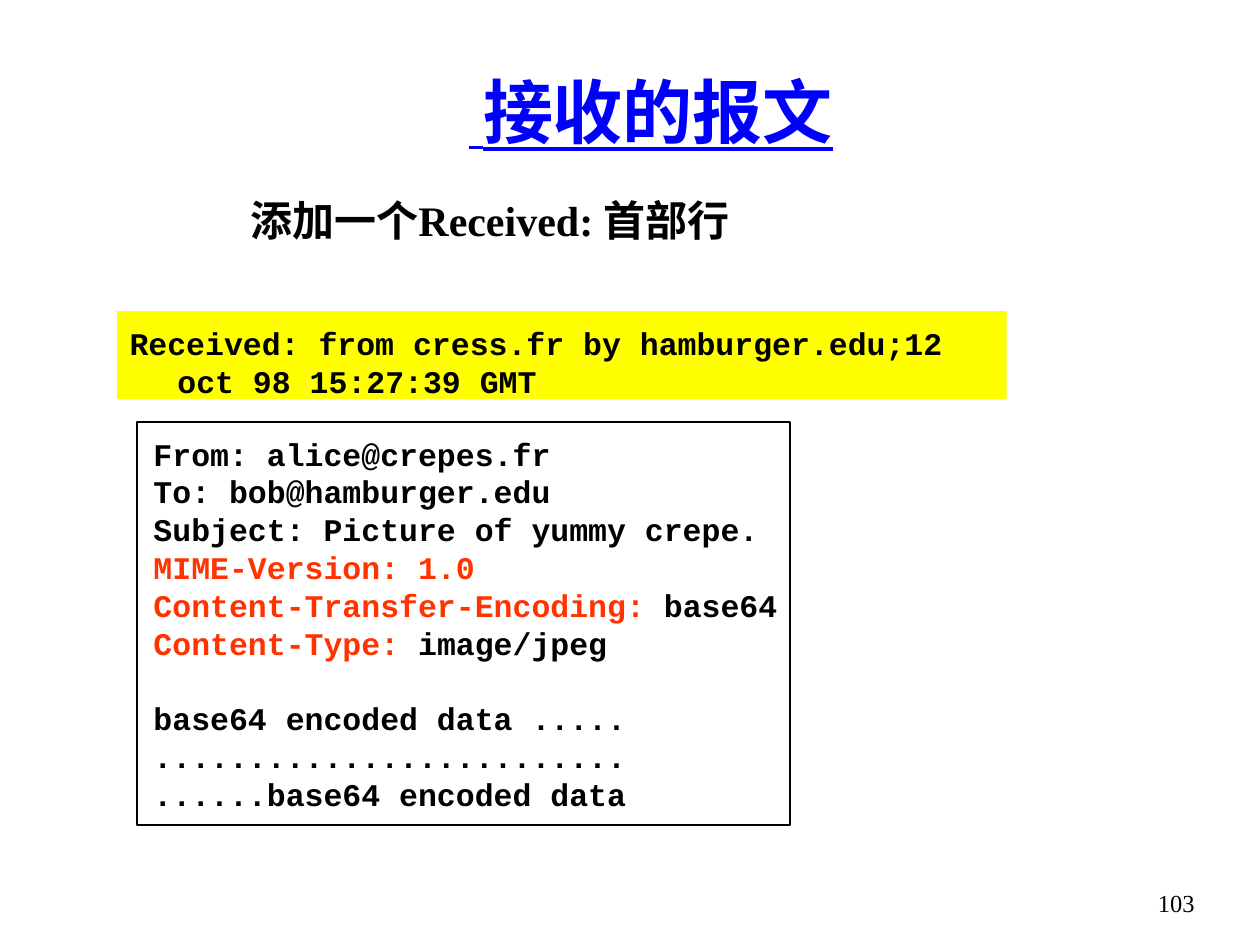
"""Build the slide about the header line added to a received mail message."""
from dataclasses import dataclass

import pptx
import pptx.dml.color
import pptx.enum.shapes
import pptx.enum.text
import pptx.util

Inches, Pt = pptx.util.Inches, pptx.util.Pt
ALIGN = pptx.enum.text.PP_ALIGN
ANCHOR = pptx.enum.text.MSO_ANCHOR
COLORS = {"title": "0000FF", "text": "000000", "mime": "FF3300", "highlight": "FFFF00"}
SERIF, MONO = "Times New Roman", "Courier New"
MAIL_PITCH = Pt(21.6)


@dataclass
class Span:
    text: str
    size: int = 18
    font: str = MONO
    color: str = "text"
    bold: bool = True
    underline: bool = False


@dataclass
class Line:
    spans: list[Span]
    format: dict
    hanging: float = 0


@dataclass
class Block:
    box: tuple[float, float, float, float]
    lines: list[Line]
    top_inset: float = 0.05
    anchor: ANCHOR = ANCHOR.TOP
    wrap: bool = True


def rgb(name: str) -> pptx.dml.color.RGBColor:
    """Return the named palette colour."""
    return pptx.dml.color.RGBColor.from_string(COLORS[name])


def apply_format(target, values: dict) -> None:
    """Set each attribute of the target from the dict."""
    for attribute, value in values.items():
        setattr(target, attribute, value)


def write_block(shape, block: Block) -> None:
    """Write the lines of a block into a shape."""
    frame = shape.text_frame
    apply_format(frame, {
        "word_wrap": block.wrap, "vertical_anchor": block.anchor,
        "margin_left": Inches(0.1), "margin_right": Inches(0.1),
        "margin_top": Inches(block.top_inset), "margin_bottom": Inches(0.05),
    })
    for index, line in enumerate(block.lines):
        paragraph = frame.add_paragraph() if index else frame.paragraphs[0]
        apply_format(paragraph, line.format)
        if line.hanging:
            properties = paragraph._p.get_or_add_pPr()
            properties.set("marL", str(Inches(line.hanging)))
            properties.set("indent", str(-Inches(line.hanging)))
        for span in line.spans:
            run = paragraph.add_run()
            run.text = span.text
            apply_format(run.font, {"size": Pt(span.size), "name": span.font,
                                    "bold": span.bold, "underline": span.underline})
            run.font.color.rgb = rgb(span.color)


def add_text(slide, block: Block) -> None:
    """Add a text box holding a block."""
    write_block(slide.shapes.add_textbox(*map(Inches, block.box)), block)


def add_rectangle(slide, box: tuple[float, float, float, float],
                  fill: str = "", outline: str = ""):
    """Add a rectangle with an optional fill and outline."""
    rectangle = slide.shapes.add_shape(
        pptx.enum.shapes.MSO_SHAPE.RECTANGLE, *map(Inches, box))
    rectangle.shadow.inherit = False
    for part, color in ((rectangle.fill, fill), (rectangle.line.fill, outline)):
        if color:
            part.solid()
            part.fore_color.rgb = rgb(color)
        else:
            part.background()
    if outline:
        rectangle.line.width = Pt(1)
    return rectangle


def mail_line(*spans: Span, gap: float = 0, hanging: float = 0) -> Line:
    """Return a left-aligned line of the mail message."""
    return Line(list(spans), {"alignment": ALIGN.LEFT, "line_spacing": MAIL_PITCH,
                              "space_before": Pt(gap)}, hanging)


TITLE = Block((0.58, 0.25, 9.17, 1.25), [Line([
    Span(" ", 36, SERIF, "title", underline=True),
    Span("接收的报文", 40, SERIF, "title", underline=True),
], {"alignment": ALIGN.CENTER})], anchor=ANCHOR.MIDDLE)

MESSAGE = Block((1.12, 3.35, 5.44, 3.4), [
    mail_line(Span("From: alice@crepes.fr")),
    mail_line(Span("To: bob@hamburger.edu")),
    mail_line(Span("Subject: Picture of yummy crepe.")),
    mail_line(Span("MIME-Version: 1.0", color="mime")),
    mail_line(Span("Content-Transfer-Encoding:", color="mime"), Span(" base64")),
    mail_line(Span("Content-Type:", color="mime"), Span(" image/jpeg")),
    mail_line(Span("base64 encoded data ....."), gap=21.6),
    mail_line(Span(".........................")),
    mail_line(Span("......base64 encoded data")),
], top_inset=0.1, wrap=False)

RECEIVED = Block((0.93, 2.47, 7.06, 0.7), [mail_line(
    Span("Received: from cress.fr by hamburger.edu;12 oct 98 15:27:39 GMT"),
    hanging=0.38)], top_inset=0.1)

SUBTITLE = Block((1.19, 1.49, 5.4, 0.5), [Line(
    [Span("添加一个Received: 首部行", 24, SERIF)],
    {"alignment": ALIGN.CENTER})], anchor=ANCHOR.MIDDLE)

PAGE_NUMBER = Block((9.08, 7, 0.5, 0.5), [Line(
    [Span("103", 14, SERIF, bold=False)], {"alignment": ALIGN.RIGHT})])


def main() -> None:
    """Build and save the slide."""
    deck = pptx.Presentation()
    apply_format(deck, {"slide_width": Inches(10), "slide_height": Inches(7.5)})
    slide = deck.slides.add_slide(deck.slide_layouts[6])
    add_text(slide, TITLE)
    add_text(slide, MESSAGE)
    add_rectangle(slide, (1.09, 3.35, 5.18, 3.2), outline="text")
    write_block(add_rectangle(slide, RECEIVED.box, fill="highlight"), RECEIVED)
    add_text(slide, SUBTITLE)
    add_text(slide, PAGE_NUMBER)
    deck.save("out.pptx")


if __name__ == "__main__":
    main()
